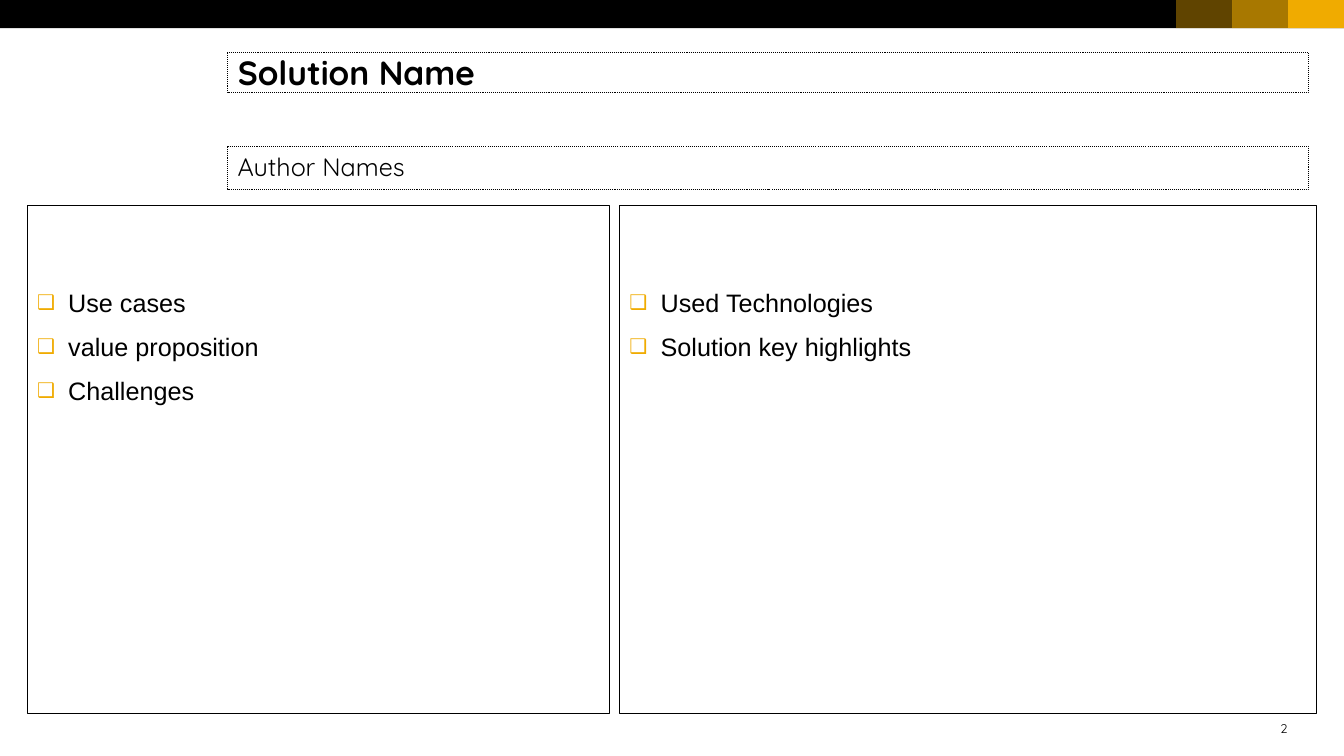
from dataclasses import dataclass

from lxml.etree import SubElement
from pptx import Presentation
from pptx.dml.color import RGBColor
from pptx.enum.dml import MSO_LINE
from pptx.enum.shapes import MSO_SHAPE
from pptx.enum.text import MSO_ANCHOR, PP_ALIGN
from pptx.oxml.ns import qn
from pptx.shapes.autoshape import Shape
from pptx.slide import Slide
from pptx.text.text import _Paragraph as Paragraph
from pptx.util import Inches, Pt

SLIDE_WIDTH, SLIDE_HEIGHT = Inches(13.34), Inches(7.5)


@dataclass(frozen=True)
class Theme:
    black: str = "000000"
    white: str = "FFFFFF"
    gold: str = "F0AB00"
    heading_font: str = "Quicksand"
    body_font: str = "Arial"
    title_size: float = 24
    text_size: float = 18
    number_size: float = 9


@dataclass(frozen=True)
class Area:
    """A rectangle in percent of the slide's width and height."""
    left: float
    top: float
    width: float
    height: float

    def box(self) -> tuple[int, int, int, int]:
        return (int(SLIDE_WIDTH * self.left / 100), int(SLIDE_HEIGHT * self.top / 100),
                int(SLIDE_WIDTH * self.width / 100), int(SLIDE_HEIGHT * self.height / 100))


@dataclass(frozen=True)
class Panel:
    area: Area
    items: tuple[str, ...]


THEME = Theme()
BAR_HEIGHT = 3.73
SWATCH_WIDTH = 4.16
SWATCH_OPACITIES = (100, 70, 40)  # from the right edge inwards
TITLE_AREA = Area(16.94, 6.93, 80.43, 5.33)
AUTHOR_AREA = Area(16.94, 19.33, 80.43, 5.73)
NUMBER_AREA = Area(94.68, 95.33, 1.12, 2)
PANELS = (
    Panel(Area(2.02, 27.2, 43.33, 67.2), ("Use cases", "value proposition", "Challenges")),
    Panel(Area(46.1, 27.2, 51.87, 67.2), ("Used Technologies", "Solution key highlights")),
)


def add_span(para: Paragraph, text: str, font: str, size: float, bold: bool = False) -> None:
    span = para.add_run()
    span.text = text
    span.font.name = font
    span.font.size = Pt(size)
    span.font.bold = bold
    span.font.color.rgb = RGBColor.from_string(THEME.black)


def add_rectangle(page: Slide, area: Area, color: str, opacity: int = 100) -> Shape:
    box = page.shapes.add_shape(MSO_SHAPE.RECTANGLE, *area.box())
    box.shadow.inherit = False
    box.line.fill.background()
    box.fill.solid()
    box.fill.fore_color.rgb = RGBColor.from_string(color)
    if opacity < 100:
        solid_color = box.fill._xPr.find(f".//{qn('a:srgbClr')}")
        SubElement(solid_color, qn("a:alpha"), val=str(opacity * 1000))
    return box


def set_outline(box: Shape, width: float) -> None:
    box.line.color.rgb = RGBColor.from_string(THEME.black)
    box.line.width = Pt(width)


def format_heading(box: Shape, area: Area, text: str, size: float,
                   anchor: MSO_ANCHOR, bold: bool = False) -> None:
    box.left, box.top, box.width, box.height = area.box()
    set_outline(box, 0.75)
    box.line.dash_style = MSO_LINE.ROUND_DOT
    frame = box.text_frame
    frame.word_wrap = True
    frame.vertical_anchor = anchor
    para = frame.paragraphs[0]
    para.alignment = PP_ALIGN.LEFT
    para.line_spacing = 1.0
    para.space_before = Pt(0)
    add_span(para, text, THEME.heading_font, size, bold)


def add_bullet(para: Paragraph) -> None:
    properties = para._p.get_or_add_pPr()
    properties.set("marL", str(Inches(0.31)))
    properties.set("indent", str(-Inches(0.31)))
    bullet_color = SubElement(properties, qn("a:buClr"))
    SubElement(bullet_color, qn("a:srgbClr"), val=THEME.gold)
    SubElement(properties, qn("a:buSzPct"), val="80000")
    SubElement(properties, qn("a:buFont"), typeface=THEME.body_font)
    SubElement(properties, qn("a:buChar"), char="❑")


def add_panel(page: Slide, panel: Panel) -> None:
    box = add_rectangle(page, panel.area, THEME.white)
    set_outline(box, 0.5)
    frame = box.text_frame
    frame.word_wrap = True
    frame.vertical_anchor = MSO_ANCHOR.TOP
    frame.margin_left = frame.margin_right = Inches(0.1)
    frame.margin_top, frame.margin_bottom = Inches(0.81), Inches(0.08)
    for index, item in enumerate(panel.items):
        para = frame.add_paragraph() if index else frame.paragraphs[0]
        para.alignment = PP_ALIGN.LEFT
        para.space_before = Pt(10)
        add_bullet(para)
        add_span(para, item, THEME.body_font, THEME.text_size)


def add_page_number(page: Slide, number: str) -> None:
    frame = page.shapes.add_textbox(*NUMBER_AREA.box()).text_frame
    frame.margin_left = frame.margin_right = frame.margin_top = frame.margin_bottom = 0
    frame.word_wrap = False
    para = frame.paragraphs[0]
    para.alignment = PP_ALIGN.RIGHT
    add_span(para, number, THEME.heading_font, THEME.number_size)


def main() -> None:
    deck = Presentation()
    deck.slide_width, deck.slide_height = SLIDE_WIDTH, SLIDE_HEIGHT
    page = deck.slides.add_slide(deck.slide_layouts.get_by_name("Title Only"))

    # Top bar with gold swatches
    add_rectangle(page, Area(0, 0, 100, BAR_HEIGHT), THEME.black)
    for index, opacity in enumerate(SWATCH_OPACITIES, start=1):
        swatch = Area(100 - index * SWATCH_WIDTH, 0, SWATCH_WIDTH, BAR_HEIGHT)
        add_rectangle(page, swatch, THEME.gold, opacity)

    # Title and authors
    format_heading(page.shapes.title, TITLE_AREA, "Solution Name", THEME.title_size,
                   MSO_ANCHOR.MIDDLE, bold=True)
    author_box = page.shapes.add_textbox(*AUTHOR_AREA.box())
    format_heading(author_box, AUTHOR_AREA, "Author Names", THEME.text_size, MSO_ANCHOR.TOP)

    # Content panels
    for panel in PANELS:
        add_panel(page, panel)

    # Page number
    add_page_number(page, "2")

    deck.save("out.pptx")


if __name__ == "__main__":
    main()
